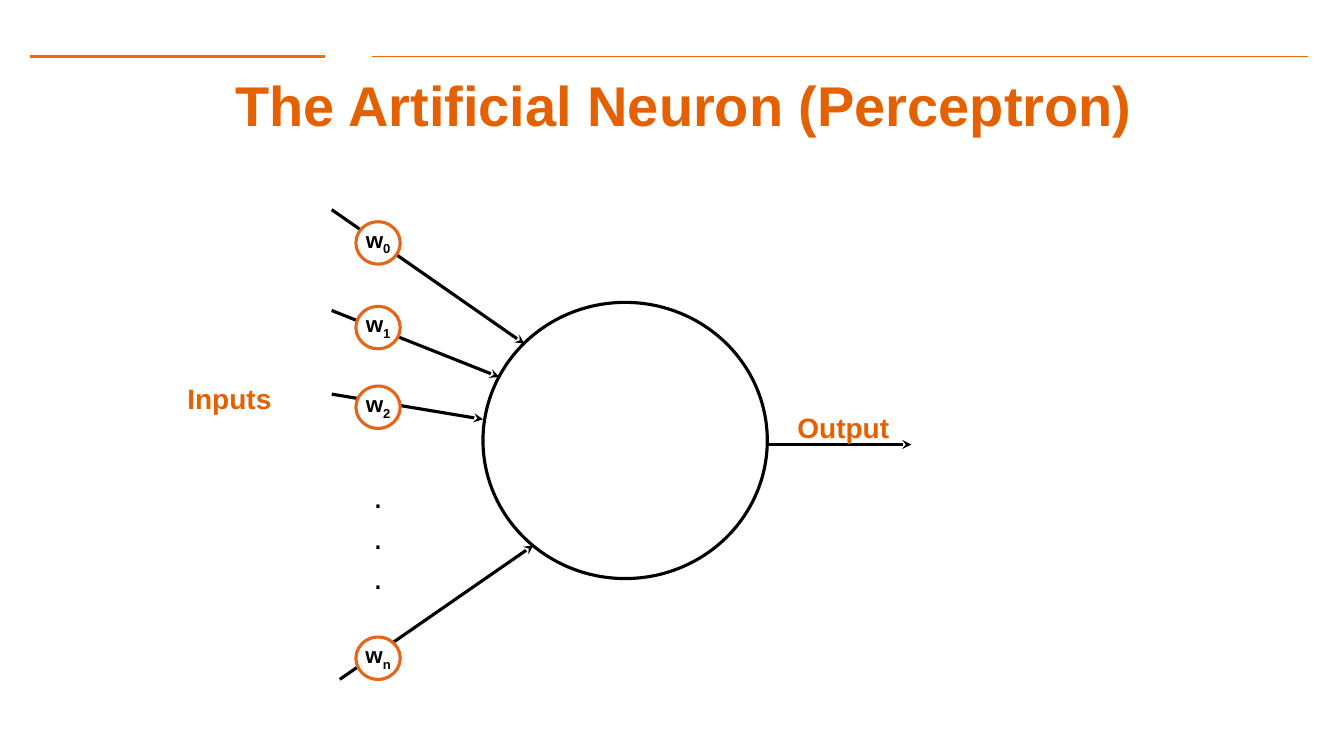
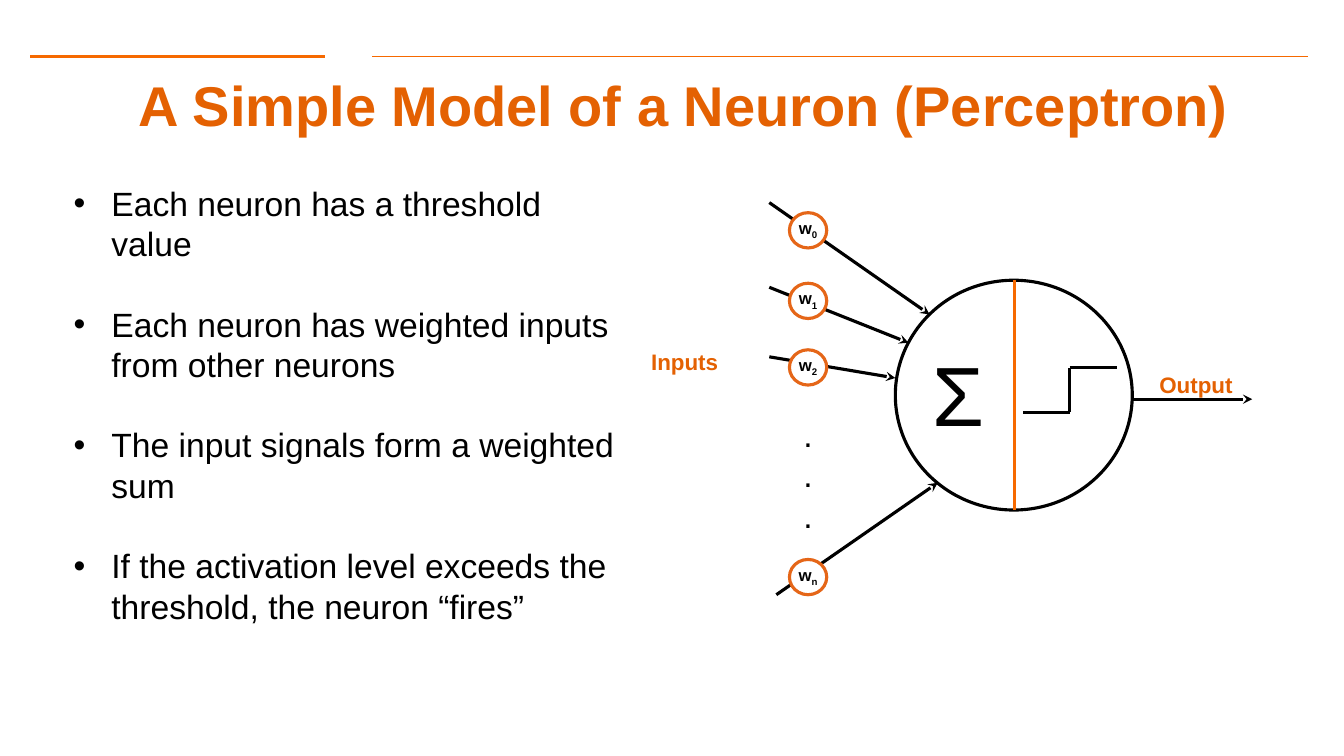
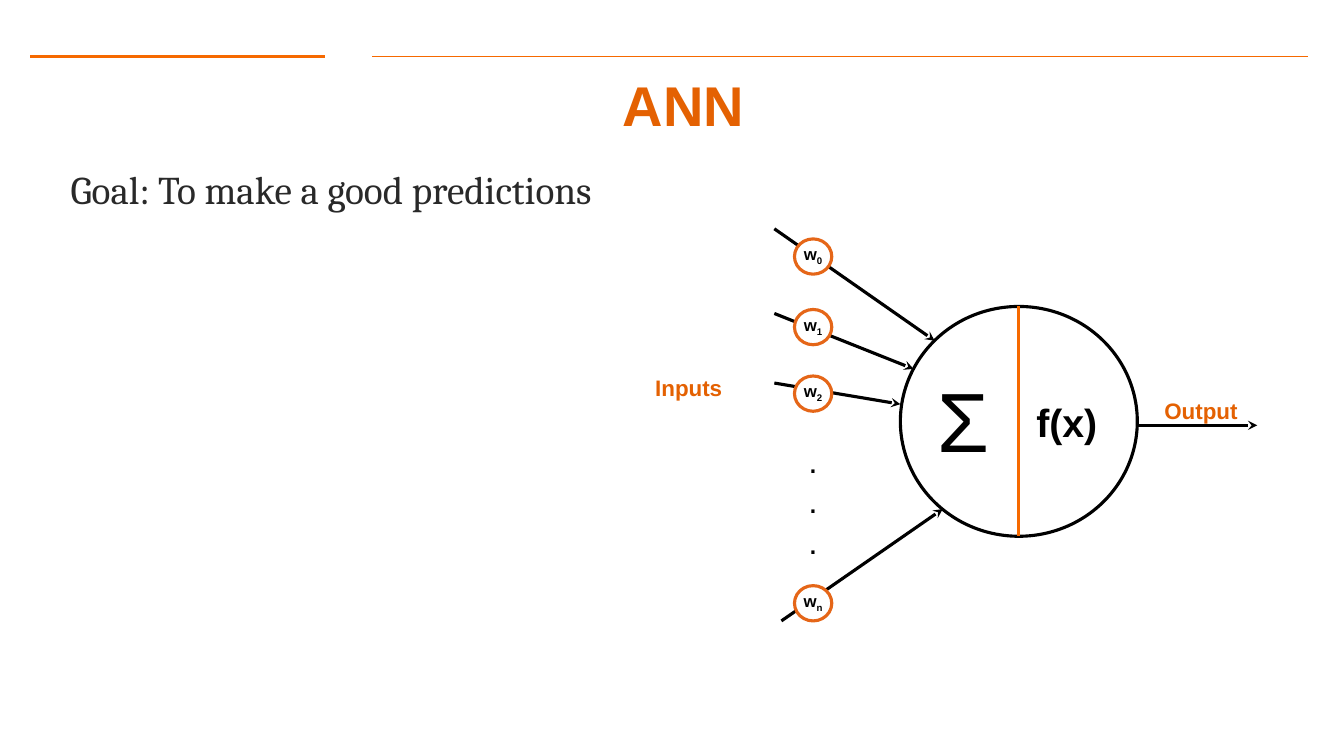
import itertools

import pptx
import pptx.dml.color
import pptx.enum.shapes
import pptx.enum.text
import pptx.oxml
import pptx.oxml.ns
import pptx.util

Pt = pptx.util.Pt
RGBColor = pptx.dml.color.RGBColor
ALIGN = pptx.enum.text.PP_ALIGN
ANCHOR = pptx.enum.text.MSO_ANCHOR
OVAL = pptx.enum.shapes.MSO_SHAPE.OVAL
STRAIGHT = pptx.enum.shapes.MSO_CONNECTOR.STRAIGHT

PX = 9144  # 100 px to the inch
LINE_HEIGHT = 1.2
TITLE_ONLY, TITLE_AND_CONTENT = 5, 1

ORANGE = RGBColor(0xE4, 0x61, 0x02)
RING_ORANGE = RGBColor(0xE5, 0x66, 0x18)
RULE_ORANGE = RGBColor(0xF6, 0x69, 0x00)
BLACK = RGBColor(0x00, 0x00, 0x00)
CHARCOAL = RGBColor(0x29, 0x29, 0x29)
WHITE = RGBColor(0xFF, 0xFF, 0xFF)

TITLE_BOX = (78, 76, 1200, 55)
TOP_RULES = [((30, 56), (322, 56), 2), ((369, 56), (1297, 56), 1)]

TITLES = [
    "The Artificial Neuron (Perceptron)",
    "A Simple Model of a Neuron (Perceptron)",
    "ANN",
]
NEURON_FACTS = [
    "Each neuron has a threshold value",
    "Each neuron has weighted inputs from other neurons",
    "The input signals form a weighted sum",
    "If the activation level exceeds the threshold, the neuron “fires”",
]
GOAL = ["Goal: To make a good predictions"]

# Diagram parts, measured from the top left of the cell body at full size
CELL = (0, 0, 282, 274)
INPUT_ARROWS = [
    ((-150, -92), (41, 41)),
    ((-150, 8), (16, 74)),
    ((-150, 91), (0, 116)),
    ((-142, 374), (50, 241)),
]
OUTPUT_ARROW = ((283, 141), (425, 141))
WEIGHT_LEFT, WEIGHT_WIDTH, WEIGHT_HEIGHT = -126, 44, 42
WEIGHT_TOPS = {"0": -80, "1": 4, "2": 83, "n": 332}
DOTS_BOX = (WEIGHT_LEFT, 172, WEIGHT_WIDTH, 119)
LABELS = [("Inputs", (-303, 74, 142, 44)), ("Output", (302, 102, 142, 44))]
DIVIDER = ((141, 0), (141, 274))
SIGMA_BOX = (32, 68, 122, 133)
FUNCTION_BOX = (150, 103, 98, 68)
STEP_POINTS = [(152, 157), (208, 157), (208, 104), (264, 104)]


def emu(lengths):
    return [round(length) * PX for length in lengths]


def write(frame, lines, size, color, bold=False, font="Arial", align=None, gap=0):
    frame.word_wrap = True
    frame.auto_size = pptx.enum.text.MSO_AUTO_SIZE.NONE
    frame.text = "\n".join(lines)
    for index, para in enumerate(frame.paragraphs):
        para.alignment = align
        para.line_spacing = Pt(size * LINE_HEIGHT)
        para.space_before = Pt(gap if index else 0)
        for span in para.runs:
            style(span, size, color, bold, font)


def style(span, size, color, bold, font="Arial"):
    span.font.size = Pt(size)
    span.font.bold = bold
    span.font.name = font
    span.font.color.rgb = color


def set_margins(frame, margin):
    frame.margin_left = frame.margin_right = margin * PX
    frame.margin_top = frame.margin_bottom = margin * PX


def place(box, bounds):
    box.left, box.top, box.width, box.height = emu(bounds)


def add_line(shapes, start, end, color, width, arrow=False):
    line = shapes.add_connector(STRAIGHT, *emu(start), *emu(end))
    line.line.color.rgb = color
    line.line.width = Pt(width)
    if arrow:
        tail = pptx.oxml.parse_xml(
            f'<a:tailEnd {pptx.oxml.ns.nsdecls("a")} type="stealth"/>')
        line.line._get_or_add_ln().append(tail)
    line._element.spPr.append(
        pptx.oxml.parse_xml(f'<a:effectLst {pptx.oxml.ns.nsdecls("a")}/>'))


def add_oval(shapes, bounds, color):
    oval = shapes.add_shape(OVAL, *emu(bounds))
    oval.shadow.inherit = False
    oval.fill.background()
    oval.line.color.rgb = color
    oval.line.width = Pt(2.25)
    return oval


class Diagram:
    """A perceptron drawn in one group, scaled about the cell's top left."""

    def __init__(self, page, origin, scale, weight_size, label_size):
        self.shapes = page.shapes.add_group_shape().shapes
        self.origin, self.scale = origin, scale
        add_oval(self.shapes, self.bounds(CELL), BLACK)
        for start, end in INPUT_ARROWS + [OUTPUT_ARROW]:
            self.line(start, end, arrow=True)
        for subscript, top in WEIGHT_TOPS.items():
            self.weight(subscript, top, weight_size)
        dots = self.text(DOTS_BOX, [".", ".", "."], 24, align=ALIGN.CENTER)
        dots.vertical_anchor = ANCHOR.MIDDLE
        for label, bounds in LABELS:
            self.text(bounds, [label], label_size, ORANGE, bold=True)

    def point(self, position):
        return [start + offset * self.scale
                for start, offset in zip(self.origin, position)]

    def bounds(self, box):
        return self.point(box[:2]) + [side * self.scale for side in box[2:]]

    def line(self, start, end, color=BLACK, width=2.25, arrow=False):
        add_line(self.shapes, self.point(start), self.point(end),
                 color, width, arrow)

    def text(self, box, lines, size, color=BLACK, **options):
        frame = self.shapes.add_textbox(*emu(self.bounds(box))).text_frame
        write(frame, lines, size, color, **options)
        return frame

    def weight(self, subscript, top, size):
        box = (WEIGHT_LEFT, top, WEIGHT_WIDTH, WEIGHT_HEIGHT)
        ring = add_oval(self.shapes, self.bounds(box), RING_ORANGE)
        ring.fill.solid()
        ring.fill.fore_color.rgb = WHITE
        frame = ring.text_frame
        set_margins(frame, 0)
        frame.vertical_anchor = ANCHOR.MIDDLE
        write(frame, ["w"], size, BLACK, bold=True, align=ALIGN.CENTER)
        span = frame.paragraphs[0].add_run()
        span.text = subscript
        style(span, size, BLACK, True)
        span.font._element.set("baseline", "-25000")

    def split_cell(self):
        """Divide the cell and mark its left half as the sum."""
        self.line(*DIVIDER, color=RULE_ORANGE, width=2)
        self.text(SIGMA_BOX, ["Σ"], 60)


def add_page(deck, layout, title):
    page = deck.slides.add_slide(deck.slide_layouts[layout])
    for start, end, width in TOP_RULES:
        add_line(page.shapes, start, end, RULE_ORANGE, width)
    heading = page.shapes.title
    place(heading, TITLE_BOX)
    set_margins(heading.text_frame, 13)
    heading.text_frame.vertical_anchor = ANCHOR.MIDDLE
    write(heading.text_frame, [title], 40, ORANGE, bold=True, align=ALIGN.CENTER)
    return page


def main():
    deck = pptx.Presentation()
    deck.slide_width, deck.slide_height = emu((1333, 750))

    page = add_page(deck, TITLE_ONLY, TITLES[0])
    Diagram(page, (479, 300), 1, 16, 20)

    page = add_page(deck, TITLE_AND_CONTENT, TITLES[1])
    body = page.placeholders[1]
    place(body, (63, 176, 572, 454))
    write(body.text_frame, NEURON_FACTS, 24, BLACK, gap=24 * LINE_HEIGHT)
    diagram = Diagram(page, (888, 278), 5 / 6, 12, 16)
    diagram.split_cell()
    for start, end in itertools.pairwise(STEP_POINTS):
        diagram.line(start, end)

    page = add_page(deck, TITLE_AND_CONTENT, TITLES[2])
    body = page.placeholders[1]
    place(body, (57, 151, 574, 512))
    set_margins(body.text_frame, 13)
    write(body.text_frame, GOAL, 28, CHARCOAL, font="Cambria")
    properties = body.text_frame.paragraphs[0]._p.get_or_add_pPr()
    properties.set("marL", "0")
    properties.set("indent", "0")
    properties.append(
        pptx.oxml.parse_xml(f'<a:buNone {pptx.oxml.ns.nsdecls("a")}/>'))
    diagram = Diagram(page, (893, 304), 5 / 6, 12, 16)
    diagram.split_cell()
    diagram.text(FUNCTION_BOX, ["f(x)"], 28, bold=True)

    deck.save("out.pptx")


if __name__ == "__main__":
    main()
